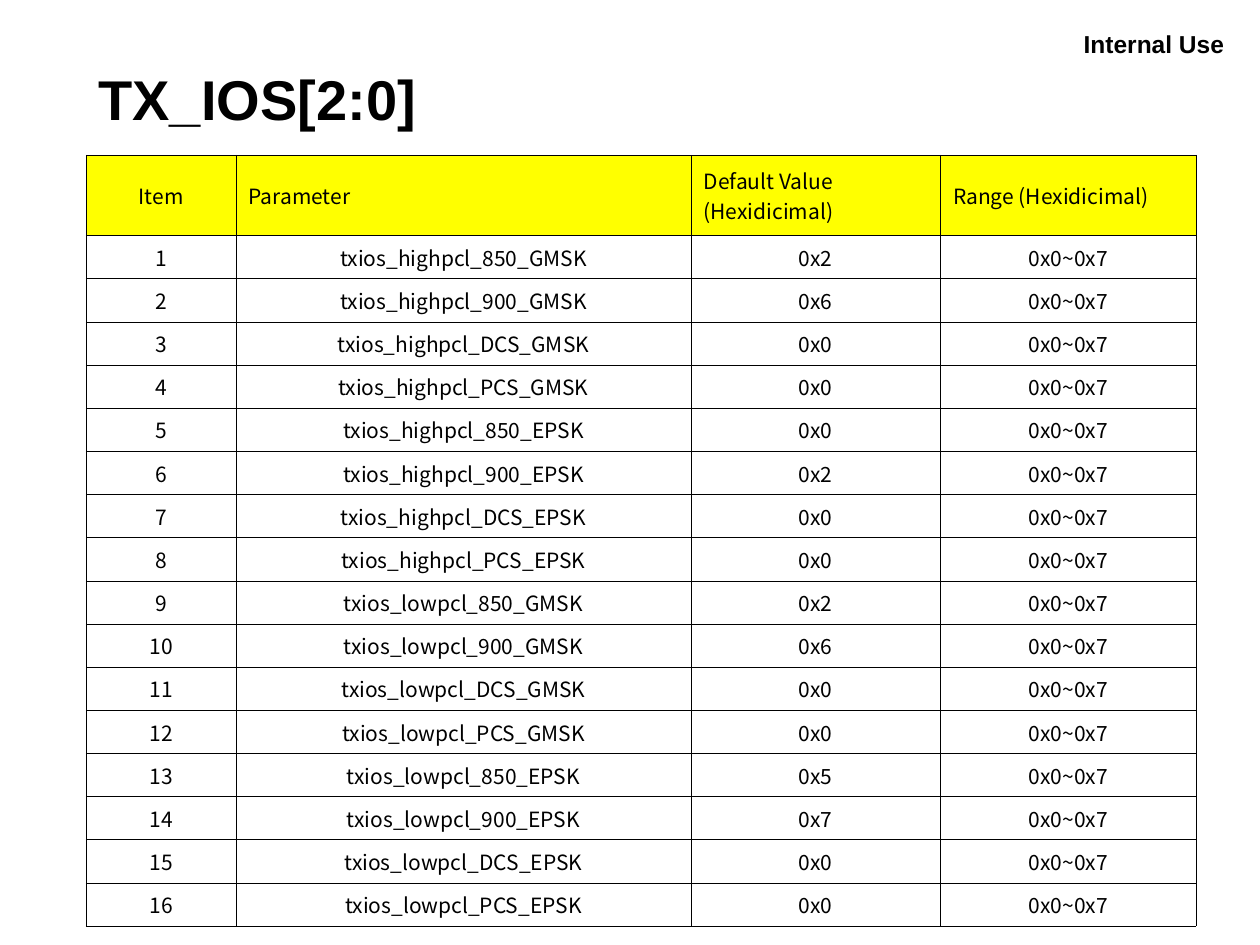
import itertools

import lxml.etree
import pptx
import pptx.dml.color
import pptx.enum.text
import pptx.oxml.ns
import pptx.util

Cm = pptx.util.Cm
Pt = pptx.util.Pt
ALIGN = pptx.enum.text.PP_ALIGN
ANCHOR = pptx.enum.text.MSO_ANCHOR
AUTO_SIZE = pptx.enum.text.MSO_AUTO_SIZE

TITLE = "TX_IOS[2:0]"
MARKING = "Internal Use"
HEADER = ["Item", "Parameter", "Default Value (Hexidicimal)", "Range (Hexidicimal)"]
LEVELS = ["highpcl", "lowpcl"]
MODES = ["GMSK", "EPSK"]
BANDS = ["850", "900", "DCS", "PCS"]
DEFAULTS = [
    "0x2", "0x6", "0x0", "0x0",  # highpcl GMSK
    "0x0", "0x2", "0x0", "0x0",  # highpcl EPSK
    "0x2", "0x6", "0x0", "0x0",  # lowpcl GMSK
    "0x5", "0x7", "0x0", "0x0",  # lowpcl EPSK
]
RANGE = "0x0~0x7"

COLORS = {"text": "000000", "border": "000000", "header": "FFFF00"}
COL_WIDTHS = [3.02, 9.17, 5.03, 5.15]
HEADER_HEIGHT, ROW_HEIGHT = 1.62, 0.87
BORDER_WIDTH = Pt(0.45)


def write(tf, text, *, size=12, font="Noto Sans CJK TC", bold=False, align=ALIGN.LEFT):
    tf.word_wrap = True
    p = tf.paragraphs[0]
    p.alignment = align
    r = p.add_run()
    r.text = text
    r.font.size = Pt(size)
    r.font.name = font
    r.font.bold = bold
    r.font.color.rgb = pptx.dml.color.RGBColor.from_string(COLORS["text"])


def add_borders(cell):
    qn = pptx.oxml.ns.qn
    tc_pr = cell._tc.get_or_add_tcPr()
    for side in ("lnL", "lnR", "lnT", "lnB"):
        ln = lxml.etree.SubElement(tc_pr, qn(f"a:{side}"), w=str(BORDER_WIDTH))
        fill = lxml.etree.SubElement(ln, qn("a:solidFill"))
        lxml.etree.SubElement(fill, qn("a:srgbClr"), val=COLORS["border"])


def add_parameter_table(s, rows):
    height = HEADER_HEIGHT + ROW_HEIGHT * (len(rows) - 1)
    table = s.shapes.add_table(len(rows), len(COL_WIDTHS), Cm(1.74), Cm(3.13),
                               Cm(sum(COL_WIDTHS)), Cm(height)).table
    table.horz_banding = False
    for column, width in zip(table.columns, COL_WIDTHS):
        column.width = Cm(width)
    for i, row in enumerate(rows):
        table.rows[i].height = Cm(ROW_HEIGHT if i else HEADER_HEIGHT)
        for j, text in enumerate(row):
            cell = table.cell(i, j)
            cell.vertical_anchor = ANCHOR.MIDDLE
            add_borders(cell)
            if i == 0:
                cell.fill.solid()
                cell.fill.fore_color.rgb = pptx.dml.color.RGBColor.from_string(COLORS["header"])
            else:
                cell.fill.background()
            centred = i > 0 or j == 0
            write(cell.text_frame, text, align=ALIGN.CENTER if centred else ALIGN.LEFT)


def main():
    prs = pptx.Presentation()
    prs.slide_width, prs.slide_height = Cm(25.4), Cm(19.05)
    s = prs.slides.add_slide(prs.slide_layouts[5])

    title = s.shapes.title
    title.left, title.top, title.width, title.height = Cm(1.73), Cm(1.07), Cm(22.38), Cm(1.83)
    title.text_frame.vertical_anchor = ANCHOR.MIDDLE
    title.text_frame.auto_size = AUTO_SIZE.NONE
    write(title.text_frame, TITLE, size=32, font="Arial", bold=True)

    marking = s.shapes.add_textbox(Cm(21.02), Cm(0.46), Cm(3.91), Cm(0.86))
    write(marking.text_frame, MARKING, size=14, font="Arial", bold=True, align=ALIGN.RIGHT)

    names = [f"txios_{level}_{band}_{mode}"
             for level, mode, band in itertools.product(LEVELS, MODES, BANDS)]
    rows = [[str(item), name, default, RANGE]
            for item, (name, default) in enumerate(zip(names, DEFAULTS), start=1)]
    add_parameter_table(s, [HEADER] + rows)

    prs.save("out.pptx")


if __name__ == "__main__":
    main()
